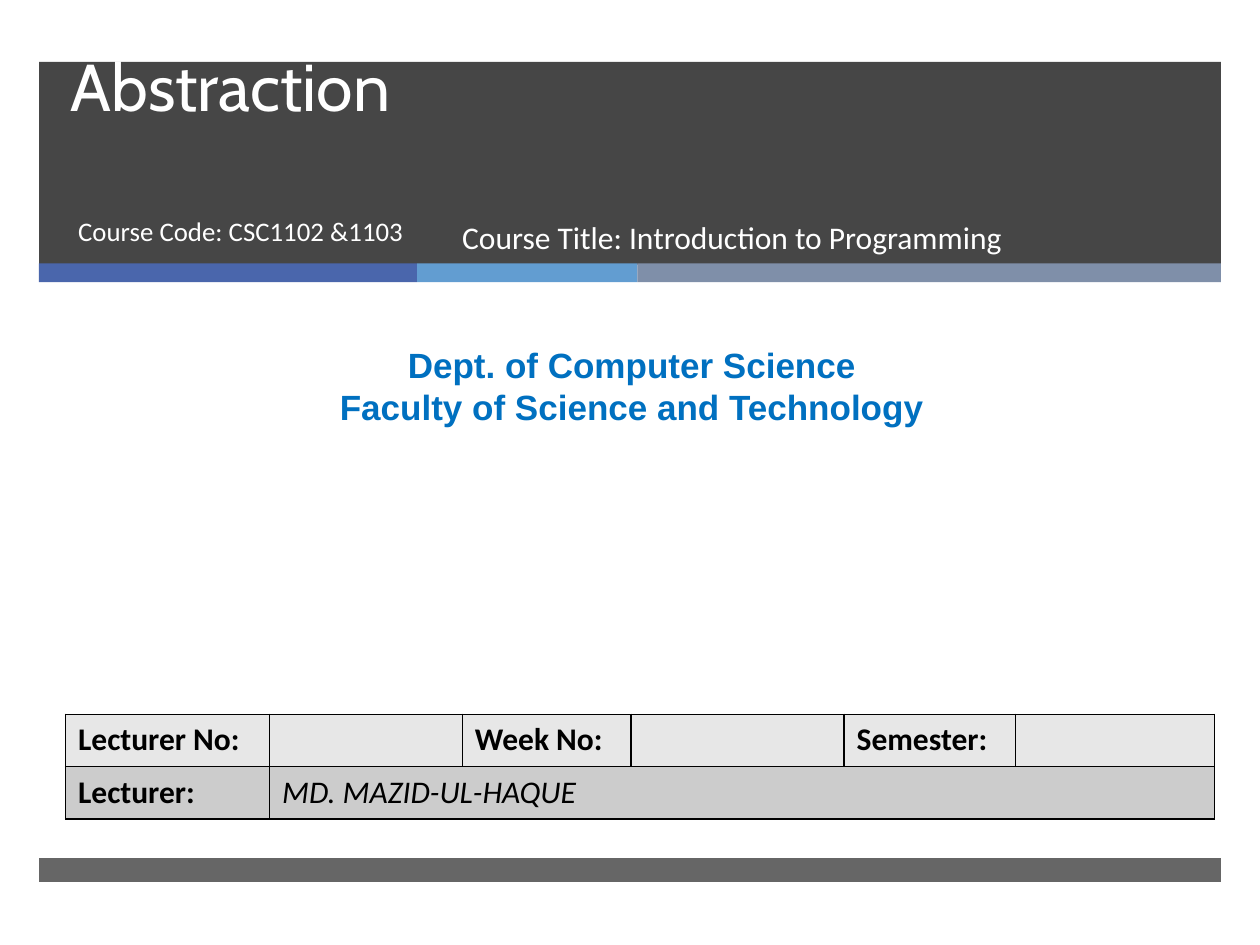
from lxml import etree
from pptx import Presentation
from pptx.dml.color import RGBColor
from pptx.enum.shapes import MSO_SHAPE
from pptx.enum.text import MSO_ANCHOR, MSO_AUTO_SIZE, PP_ALIGN
from pptx.oxml.ns import qn
from pptx.util import Inches, Pt

RECT = MSO_SHAPE.RECTANGLE
LEFT, CENTER = PP_ALIGN.LEFT, PP_ALIGN.CENTER
TOP, BOTTOM = MSO_ANCHOR.TOP, MSO_ANCHOR.BOTTOM
NO_FIT = MSO_AUTO_SIZE.NONE


def rgb(value):
    """Turn a hex string into a colour."""
    return RGBColor.from_string(value)


def add_bar(slide, x, y, w, h, color, alpha=100):
    """Draw a borderless bar with the given opacity in percent."""
    sp = slide.shapes.add_shape(RECT, Inches(x), Inches(y), Inches(w), Inches(h))
    sp.shadow.inherit = False
    sp.line.fill.background()
    sp.fill.solid()
    sp.fill.fore_color.rgb = rgb(color)
    if alpha < 100:
        clr = sp.fill._xPr.find(qn("a:solidFill"))[0]
        etree.SubElement(clr, qn("a:alpha"), val=str(alpha * 1000))


def style(p, size, font, color, bold=False, italic=False, align=LEFT):
    """Set the font and alignment of a paragraph."""
    p.alignment = align
    p.space_before = Pt(0)
    f = p.font
    f.size, f.name, f.bold, f.italic = Pt(size), font, bold, italic
    f.color.rgb = rgb(color)


def fill_text(sp, box, lines, size, font, color, anchor=TOP, spacing=None, **kw):
    """Place a text shape and write its paragraphs."""
    sp.left, sp.top, sp.width, sp.height = map(Inches, box)
    tf = sp.text_frame
    tf.word_wrap = True
    tf.auto_size = NO_FIT
    tf.vertical_anchor = anchor
    tf.text = "\n".join(lines)
    for p in tf.paragraphs:
        style(p, size, font, color, **kw)
        p.line_spacing = spacing


def add_text(slide, box, lines, *args, **kw):
    """Add a text box."""
    sp = slide.shapes.add_textbox(*map(Inches, box))
    fill_text(sp, box, lines, *args, **kw)


def add_banner(slide, x, y, w):
    """Draw the dark banner, its coloured strip and its course texts."""
    add_bar(slide, x, y, w, 1.61, "262626", 85)
    left = x
    for width, color in ((3, "4A66AC"), (1.75, "629DD1"), (4.63, "7F8FA9")):
        add_bar(slide, left, y + 1.6, width, 0.15, color)
        left += width
    title, subtitle = slide.placeholders
    fill_text(title, (x + 0.15, y + 0.11, 8.54, 1.08), ["Abstraction\v"],
              37.8, "Cabin", "FFFFFF", anchor=BOTTOM, spacing=Pt(46))
    fill_text(subtitle, (x + 0.21, y + 1.19, 3.05, 0.53), ["Course Code: CSC1102 &1103"],
              15.3, "Calibri", "FFFFFF", spacing=0.9)
    add_text(slide, (x + 3.26, y + 1.19, 4.61, 0.53),
             ["Course Title: Introduction to Programming"], 18, "Calibri", "FFFFFF")
    for sp in (title, subtitle):
        slide.shapes._spTree.append(sp._element)


def add_borders(cell):
    """Give a cell thin black borders."""
    tcPr = cell._tc.get_or_add_tcPr()
    for i, side in enumerate(("a:lnL", "a:lnR", "a:lnT", "a:lnB")):
        ln = etree.Element(qn(side), w=str(Pt(1)))
        fill = etree.SubElement(ln, qn("a:solidFill"))
        etree.SubElement(fill, qn("a:srgbClr"), val="000000")
        tcPr.insert(i, ln)


def add_lecture_table(slide, x, y):
    """Add the table of lecture details."""
    widths = (1.62, 1.53, 1.34, 1.69, 1.36, 1.58)
    rows = (("E7E7E7", ("Lecturer No:", "", "Week No:", "", "Semester:", "")),
            ("CCCCCC", ("Lecturer:", "MD. MAZID-UL-HAQUE", "", "", "", "")))
    frame = slide.shapes.add_table(len(rows), len(widths), Inches(x), Inches(y),
                                   Inches(sum(widths)), Inches(0.83))
    table = frame.table
    table.first_row = table.horz_banding = False
    for col, width in zip(table.columns, widths):
        col.width = Inches(width)
    for r, (color, texts) in enumerate(rows):
        for c, text in enumerate(texts):
            cell = table.cell(r, c)
            cell.fill.solid()
            cell.fill.fore_color.rgb = rgb(color)
            add_borders(cell)
            cell.text = text
            name = (r, c) == (1, 1)
            style(cell.text_frame.paragraphs[0], 18, "Calibri", "000000",
                  bold=not name, italic=name)
    table.cell(1, 1).merge(table.cell(1, 5))


def main():
    """Build the course title slide."""
    prs = Presentation()
    prs.slide_width, prs.slide_height = Inches(10), Inches(7.5)
    slide = prs.slides.add_slide(prs.slide_layouts[0])
    add_banner(slide, 0.31, 0.49, 9.38)
    add_bar(slide, 0.31, 6.81, 9.38, 0.19, "262626", 70)
    add_text(slide, (0.08, 2.68, 9.87, 0.77),
             ["Dept. of Computer Science", "Faculty of Science and Technology"],
             20, "Arial", "0070C0", bold=True, align=CENTER)
    add_lecture_table(slide, 0.52, 5.67)
    prs.save("out.pptx")


main()
